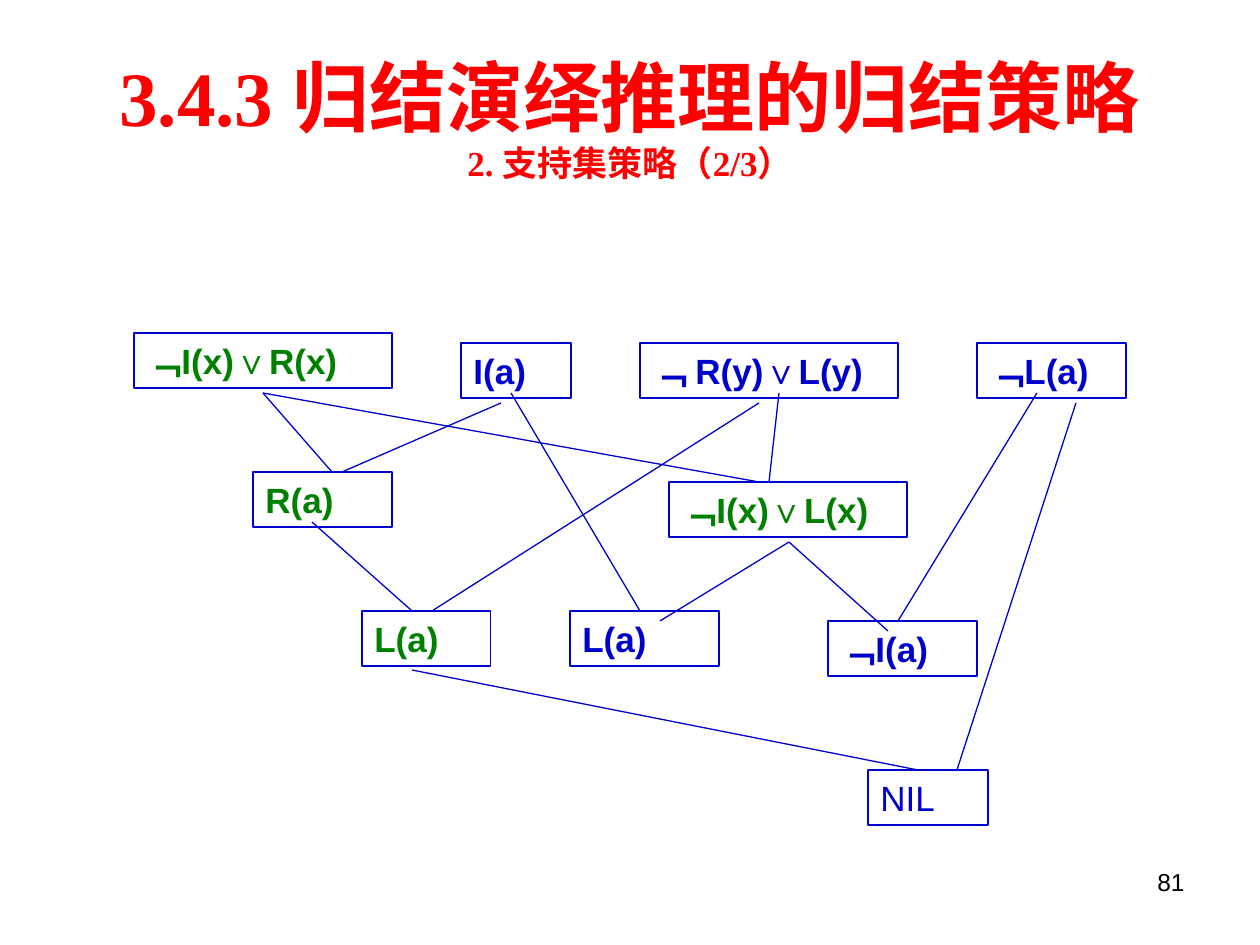
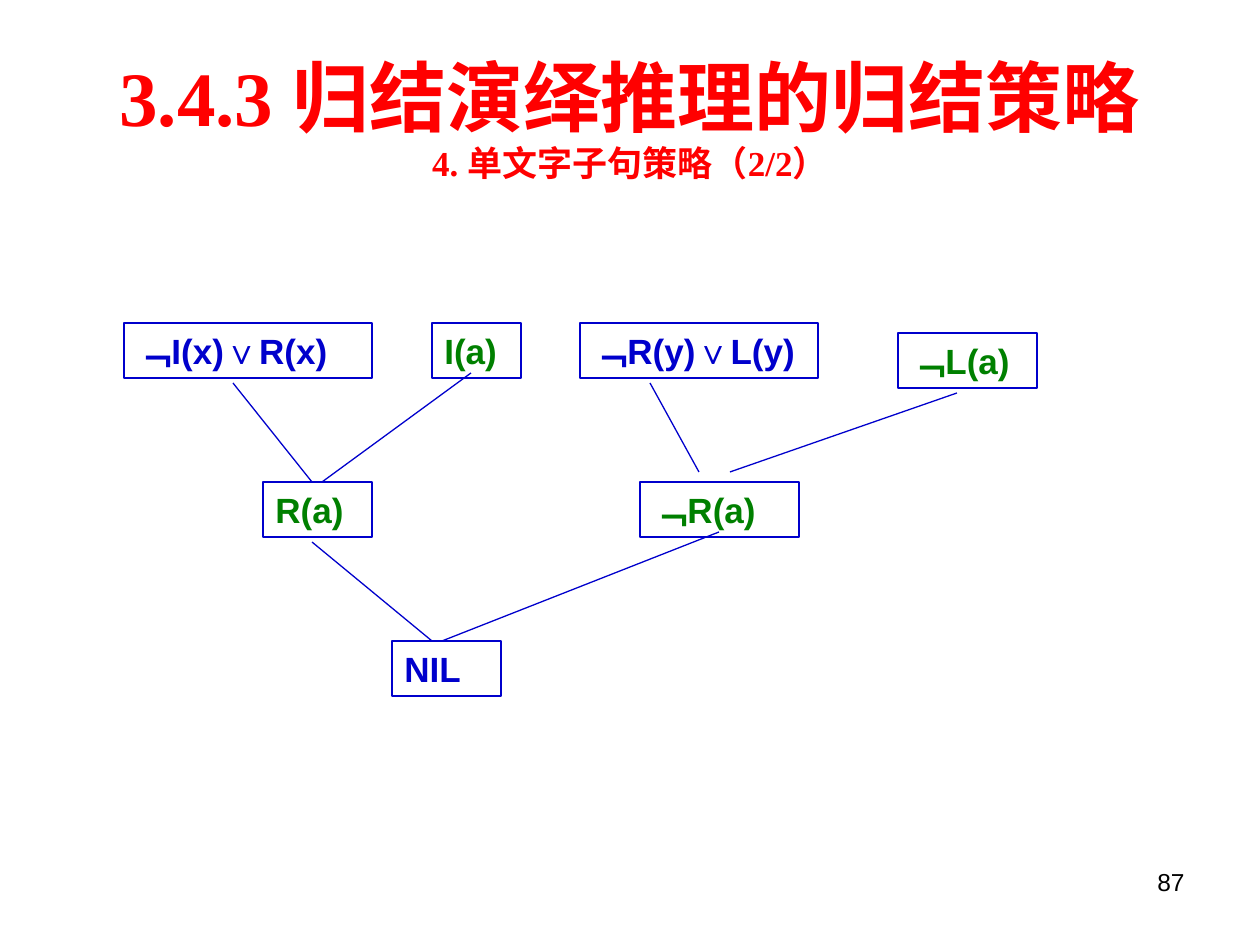
from lxml import etree
from pptx import Presentation, util as u
from pptx.dml.color import RGBColor
from pptx.enum import shapes, text
from pptx.oxml.ns import qn

PX = 914400 / 126
RED, BLUE, GREEN, BLACK = "FF0000", "0000CC", "008000", "000000"
BOX_HEIGHT = 55


def px(*lengths):
    return [u.Emu(round(length * PX)) for length in lengths]


def add_run(paragraph, words, size, font, color, bold=True):
    run = paragraph.add_run()
    run.text = words
    run.font.size = u.Pt(size)
    run.font.name = font
    run.font.bold = bold
    run.font.color.rgb = RGBColor.from_string(color)
    east_asian = etree.SubElement(run.font._element, qn("a:ea"))
    east_asian.set("typeface", "Noto Sans CJK SC")


# Each clause: left, top, width, words, colour, bold
# Each link: from x, from y, to x, to y
pages = [
    {
        "subtitle": "2. 支持集策略（2/3）",
        "number": "81",
        "clauses": [
            (134, 333, 258, "﹁I(x)∨R(x)", GREEN, True),
            (461, 343, 110, "I(a)", BLUE, True),
            (640, 343, 258, "﹁ R(y)∨L(y)", BLUE, True),
            (977, 343, 149, "﹁L(a)", BLUE, True),
            (253, 472, 139, "R(a)", GREEN, True),
            (669, 482, 238, "﹁I(x)∨L(x)", GREEN, True),
            (362, 611, 129, "L(a)", GREEN, True),
            (570, 611, 149, "L(a)", BLUE, True),
            (828, 621, 149, "﹁I(a)", BLUE, True),
            (868, 770, 120, "NIL", BLUE, False),
        ],
        "links": [
            (263, 393, 332, 472), (501, 403, 342, 472),
            (263, 393, 759, 482), (779, 393, 769, 482),
            (312, 522, 412, 611), (759, 403, 432, 611),
            (511, 393, 640, 611), (789, 542, 660, 621),
            (789, 542, 888, 631), (1037, 393, 898, 621),
            (412, 670, 918, 770), (1076, 403, 957, 770),
        ],
    },
    {
        "subtitle": "4. 单文字子句策略（2/2）",
        "number": "87",
        "clauses": [
            (124, 323, 248, "﹁I(x)∨R(x)", BLUE, True),
            (432, 323, 89, "I(a)", GREEN, True),
            (580, 323, 238, "﹁R(y)∨L(y)", BLUE, True),
            (898, 333, 139, "﹁L(a)", GREEN, True),
            (263, 482, 109, "R(a)", GREEN, True),
            (640, 482, 159, "﹁R(a)", GREEN, True),
            (392, 641, 109, "NIL", BLUE, True),
        ],
        "links": [
            (233, 383, 312, 482), (471, 373, 322, 482),
            (650, 383, 699, 472), (957, 393, 730, 472),
            (312, 542, 432, 641), (719, 532, 442, 641),
        ],
    },
]

presentation = Presentation()
presentation.slide_width, presentation.slide_height = px(1260, 945)

for page in pages:
    slide = presentation.slides.add_slide(presentation.slide_layouts[6])

    # Title and subtitle
    frame = slide.shapes.add_textbox(*px(63, 38, 1134, 157)).text_frame
    frame.word_wrap = True
    frame.vertical_anchor = text.MSO_ANCHOR.MIDDLE
    paragraph = frame.paragraphs[0]
    paragraph.alignment = text.PP_ALIGN.CENTER
    add_run(paragraph, "3.4.3 归结演绎推理的归结策略", 44, "Times New Roman", RED)
    paragraph.add_line_break()
    add_run(paragraph, page["subtitle"], 20, "Times New Roman", RED)

    # Clause boxes
    for left, top, width, words, color, bold in page["clauses"]:
        shape = slide.shapes.add_shape(
            shapes.MSO_SHAPE.RECTANGLE, *px(left, top, width, BOX_HEIGHT))
        shape.shadow.inherit = False
        shape.fill.background()
        shape.line.color.rgb = RGBColor.from_string(BLUE)
        shape.line.width = u.Pt(0.75)
        frame = shape.text_frame
        frame.word_wrap = True
        frame.vertical_anchor = text.MSO_ANCHOR.TOP
        paragraph = frame.paragraphs[0]
        paragraph.alignment = text.PP_ALIGN.LEFT
        add_run(paragraph, words, 20, "Arial", color, bold)

    # Resolution links
    for link in page["links"]:
        connector = slide.shapes.add_connector(
            shapes.MSO_CONNECTOR.STRAIGHT, *px(*link))
        connector.line.color.rgb = RGBColor.from_string(BLUE)
        connector.line.width = u.Pt(0.75)
        etree.SubElement(connector._element.spPr, qn("a:effectLst"))

    # Page number
    frame = slide.shapes.add_textbox(*px(903, 861, 294, 66)).text_frame
    frame.word_wrap = True
    paragraph = frame.paragraphs[0]
    paragraph.alignment = text.PP_ALIGN.RIGHT
    add_run(paragraph, page["number"], 14, "Arial", BLACK, False)

presentation.save("out.pptx")
